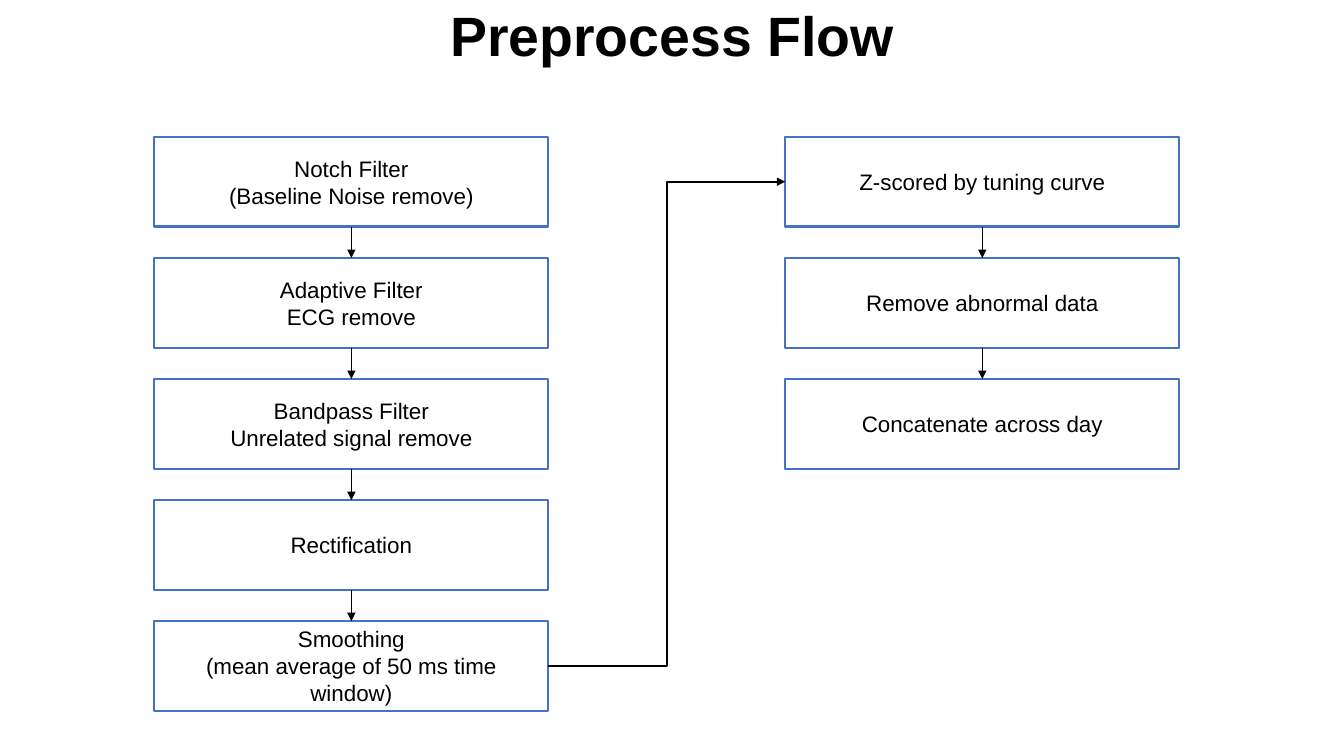
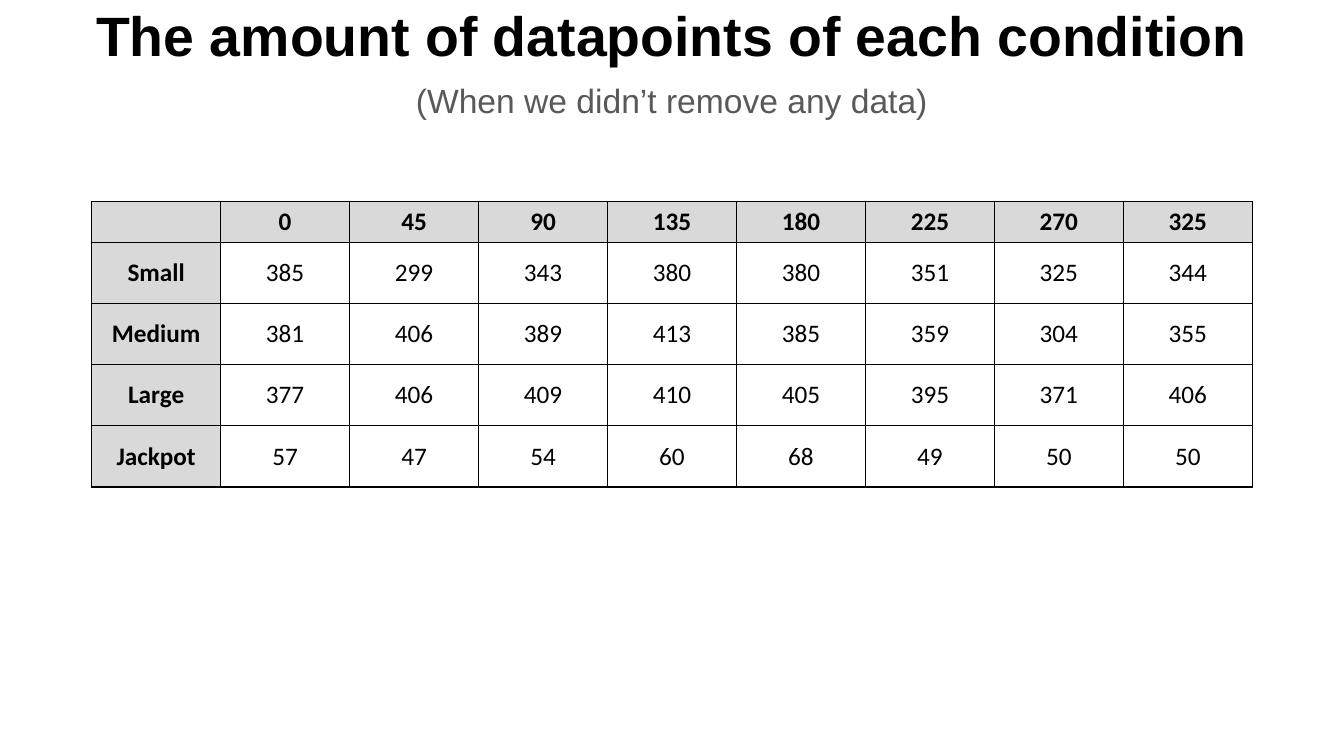
from itertools import pairwise

from lxml import etree
from pptx import Presentation
from pptx.dml.color import RGBColor
from pptx.enum.shapes import MSO_CONNECTOR, MSO_SHAPE
from pptx.enum.text import MSO_ANCHOR, MSO_AUTO_SIZE, PP_ALIGN
from pptx.oxml.ns import qn
from pptx.util import Cm, Pt

STRAIGHT, ELBOW = MSO_CONNECTOR.STRAIGHT, MSO_CONNECTOR.ELBOW
RECTANGLE = MSO_SHAPE.RECTANGLE
CENTER, MIDDLE, TOP = PP_ALIGN.CENTER, MSO_ANCHOR.MIDDLE, MSO_ANCHOR.TOP
NO_AUTOFIT = MSO_AUTO_SIZE.NONE
SITE_TOP, SITE_LEFT, SITE_BOTTOM, SITE_RIGHT = range(4)

BLACK, WHITE, BLUE = "000000", "FFFFFF", "4472C4"
HEADER_GRAY, SUBTITLE_GRAY = "D9D9D9", "595959"

SLIDE_WIDTH, SLIDE_HEIGHT = Cm(33.87), Cm(19.05)
TITLE_FONT = {"name": "Arial", "size": Pt(39.6), "bold": True}
SUBTITLE_FONT = {"name": "Arial", "size": Pt(24), "bold": False}
STEP_FONT = {"name": "Arial", "size": Pt(16), "bold": False}
HEADER_FONT = {"name": "Calibri", "size": Pt(18), "bold": True}
VALUE_FONT = HEADER_FONT | {"bold": False}

STEP_WIDTH, STEP_HEIGHT = Cm(9.93), Cm(2.26)
STEP_TOP, STEP_PITCH = Cm(3.45), Cm(3.05)
FILTER_LEFT, DATA_LEFT = Cm(3.89), Cm(19.79)
FILTER_STEPS = [
    "Notch Filter\n(Baseline Noise remove)",
    "Adaptive Filter\nECG remove",
    "Bandpass Filter\nUnrelated signal remove",
    "Rectification",
    "Smoothing\n(mean average of 50 ms time window)",
]
DATA_STEPS = [
    "Z-scored by tuning curve",
    "Remove abnormal data",
    "Concatenate across day",
]

COLUMN_WIDTH, HEADER_HEIGHT, ROW_HEIGHT = Cm(3.25), Cm(1), Cm(1.54)
DATAPOINTS = [
    ["", 0, 45, 90, 135, 180, 225, 270, 325],
    ["Small", 385, 299, 343, 380, 380, 351, 325, 344],
    ["Medium", 381, 406, 389, 413, 385, 359, 304, 355],
    ["Large", 377, 406, 409, 410, 405, 395, 371, 406],
    ["Jackpot", 57, 47, 54, 60, 68, 49, 50, 50],
]


def paint(color_format, color):
    color_format.rgb = RGBColor.from_string(color)


def fill_with(target, color):
    target.fill.solid()
    paint(target.fill.fore_color, color)


def apply_format(target, values):
    for attribute, value in values.items():
        setattr(target, attribute, value)


def write(frame, text, font, color=BLACK, anchor=MIDDLE):
    frame.text = text
    frame.word_wrap = True
    frame.vertical_anchor = anchor
    for paragraph in frame.paragraphs:
        paragraph.alignment = CENTER
        for run in paragraph.runs:
            apply_format(run.font, font)
            paint(run.font.color, color)


def add_titled_slide(deck, text):
    slide = deck.slides.add_slide(deck.slide_layouts[5])
    title = slide.shapes.title
    place = {"left": 0, "top": Cm(0.05), "width": SLIDE_WIDTH, "height": Cm(1.83)}
    apply_format(title, place)
    write(title.text_frame, text, TITLE_FONT)
    title.text_frame.auto_size = NO_AUTOFIT
    title.text_frame.paragraphs[0].line_spacing = 0.9
    return slide


def add_step(slide, left, top, text):
    step = slide.shapes.add_shape(RECTANGLE, left, top, STEP_WIDTH, STEP_HEIGHT)
    step.shadow.inherit = False
    fill_with(step, WHITE)
    paint(step.line.color, BLUE)
    step.line.width = Pt(1.5)
    write(step.text_frame, text, STEP_FONT)
    return step


def add_arrow(slide, kind, source, source_site, target, target_site, width):
    arrow = slide.shapes.add_connector(kind, 0, 0, 0, 0)
    arrow.begin_connect(source, source_site)
    arrow.end_connect(target, target_site)
    paint(arrow.line.color, BLACK)
    arrow.line.width = Pt(width)
    properties = arrow.element.spPr
    outline = properties.find(qn("a:ln"))
    etree.SubElement(outline, qn("a:tailEnd"), type="triangle")
    etree.SubElement(properties, qn("a:effectLst"))


def add_step_column(slide, left, texts):
    steps = [
        add_step(slide, left, STEP_TOP + row * STEP_PITCH, text)
        for row, text in enumerate(texts)
    ]
    for upper, lower in pairwise(steps):
        add_arrow(slide, STRAIGHT, upper, SITE_BOTTOM, lower, SITE_TOP, 0.5)
    return steps


def add_borders(cell):
    properties = cell._tc.get_or_add_tcPr()
    for side in ("a:lnL", "a:lnR", "a:lnT", "a:lnB"):
        border = etree.SubElement(properties, qn(side), w=str(Pt(1)))
        fill = etree.SubElement(border, qn("a:solidFill"))
        etree.SubElement(fill, qn("a:srgbClr"), val=BLACK)


def add_datapoint_table(slide, left, top, rows):
    row_count, column_count = len(rows), len(rows[0])
    height = HEADER_HEIGHT + (row_count - 1) * ROW_HEIGHT
    table = slide.shapes.add_table(
        row_count, column_count, left, top, column_count * COLUMN_WIDTH, height
    ).table
    apply_format(table, {"first_row": False, "horz_banding": False})
    for column in table.columns:
        column.width = COLUMN_WIDTH
    for row_index, values in enumerate(rows):
        table.rows[row_index].height = ROW_HEIGHT if row_index else HEADER_HEIGHT
        for column_index, value in enumerate(values):
            is_header = row_index == 0 or column_index == 0
            cell = table.cell(row_index, column_index)
            add_borders(cell)
            fill_with(cell, HEADER_GRAY if is_header else WHITE)
            write(cell.text_frame, str(value), HEADER_FONT if is_header else VALUE_FONT)
            cell.vertical_anchor = MIDDLE


def add_subtitle(slide, text):
    subtitle = slide.shapes.add_textbox(Cm(8.18), Cm(1.88), Cm(17.5), Cm(1.27))
    write(subtitle.text_frame, text, SUBTITLE_FONT, SUBTITLE_GRAY, TOP)


def build_flow_slide(deck):
    slide = add_titled_slide(deck, "Preprocess Flow")
    filters = add_step_column(slide, FILTER_LEFT, FILTER_STEPS)
    data = add_step_column(slide, DATA_LEFT, DATA_STEPS)
    add_arrow(slide, ELBOW, filters[-1], SITE_RIGHT, data[0], SITE_LEFT, 1.5)


def build_datapoints_slide(deck):
    slide = add_titled_slide(deck, "The amount of datapoints of each condition")
    add_datapoint_table(slide, Cm(2.31), Cm(5.08), DATAPOINTS)
    add_subtitle(slide, "(When we didn’t remove any data)")


def main():
    deck = Presentation()
    apply_format(deck, {"slide_width": SLIDE_WIDTH, "slide_height": SLIDE_HEIGHT})
    build_flow_slide(deck)
    build_datapoints_slide(deck)
    deck.save("out.pptx")


if __name__ == "__main__":
    main()
